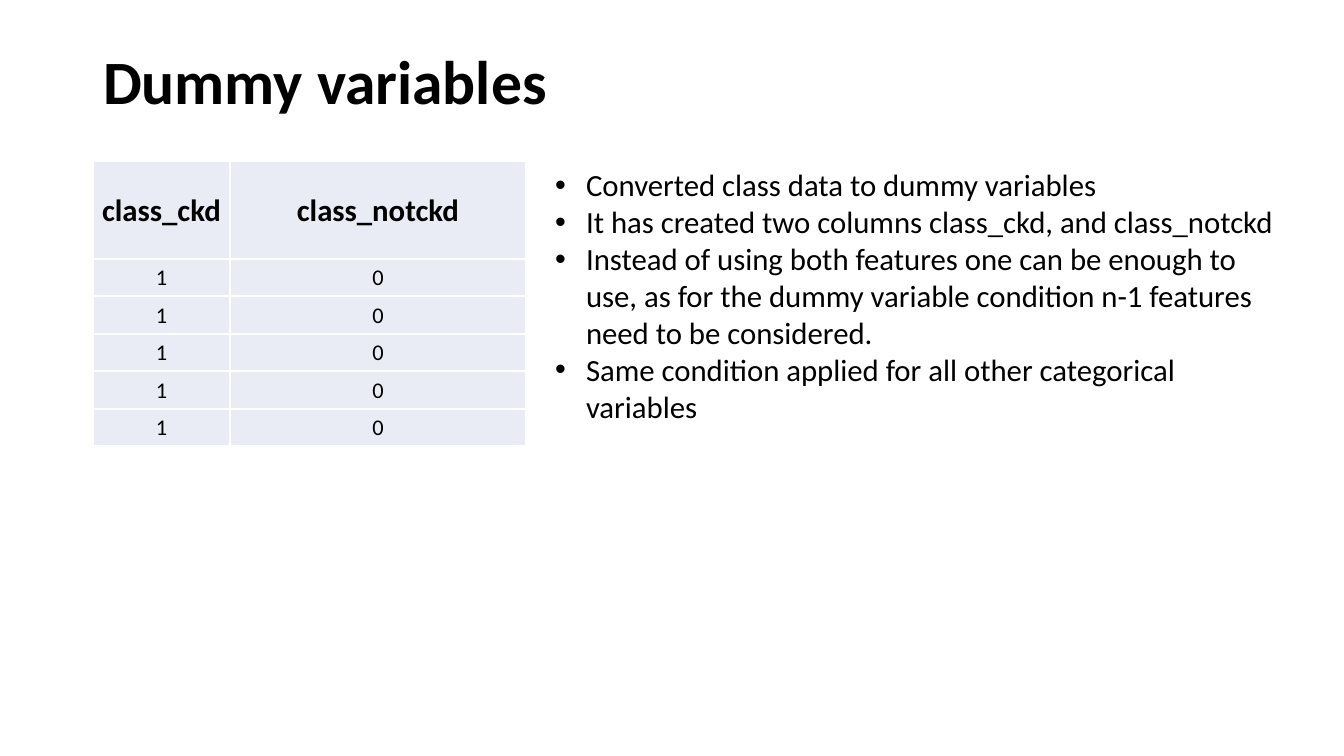
"""Build the slide on dummy variables: a title, a small table and a bullet list."""
import pptx
import pptx.dml.color
import pptx.enum.text
import pptx.oxml
import pptx.oxml.ns
import pptx.util

COLOURS = {"ink": "000000", "cell": "E9EBF5", "rule": "FFFFFF"}
ALIGN = pptx.enum.text.PP_ALIGN
ANCHOR = pptx.enum.text.MSO_ANCHOR
AUTO_SIZE = pptx.enum.text.MSO_AUTO_SIZE


def px(pixels):
    """Turn pixels into EMU."""
    return pptx.util.Emu(round(pixels * 914400 / 100.8))


def colour(name):
    """Look up a colour by name."""
    return pptx.dml.color.RGBColor.from_string(COLOURS[name])


class Page:
    """Holds the style and the current slide."""

    font = "Calibri"

    def __init__(self, deck):
        """Add a title and content slide."""
        self.slide = deck.slides.add_slide(deck.slide_layouts[1])

    def add_span(self, para, text, size, bold=False):
        """Add one styled run to a paragraph."""
        span = para.add_run()
        span.text = text
        span.font.name = self.font
        span.font.size = pptx.util.Pt(size)
        span.font.bold = bold
        span.font.color.rgb = colour("ink")

    def place(self, box, left, top, width, height):
        """Position a placeholder."""
        box.left, box.top, box.width, box.height = map(px, (left, top, width, height))

    def title(self, text, bounds):
        """Fill the title placeholder."""
        box = self.slide.shapes.title
        self.place(box, *bounds)
        box.text_frame.auto_size = AUTO_SIZE.NONE
        box.text_frame.vertical_anchor = ANCHOR.MIDDLE
        para = box.text_frame.paragraphs[0]
        para.alignment = ALIGN.LEFT
        para.line_spacing = 0.9
        self.add_span(para, text, 44, bold=True)

    def bullets(self, items, bounds):
        """Fill the body placeholder with a bullet list."""
        box = self.slide.placeholders[1]
        self.place(box, *bounds)
        frame = box.text_frame
        frame.auto_size = AUTO_SIZE.SHAPE_TO_FIT_TEXT
        for index, item in enumerate(items):
            para = frame.add_paragraph() if index else frame.paragraphs[0]
            para.space_before = pptx.util.Pt(0)
            properties = para._p.get_or_add_pPr()
            properties.set("marL", str(px(31)))
            properties.set("indent", str(px(-31)))
            self.add_span(para, item, 22)

    def borders(self, cell):
        """Draw a thin rule on all four sides of a cell."""
        properties = cell._tc.get_or_add_tcPr()
        for index, side in enumerate("LRTB"):
            properties.insert(index, pptx.oxml.parse_xml(
                f'<a:ln{side} {pptx.oxml.ns.nsdecls("a")} w="12700"><a:solidFill>'
                f'<a:srgbClr val="{COLOURS["rule"]}"/></a:solidFill></a:ln{side}>'))

    def table(self, rows, left, top, widths, heights):
        """Add a table whose first row is a bold header."""
        bounds = map(px, (left, top, sum(widths), sum(heights)))
        grid = self.slide.shapes.add_table(len(rows), len(widths), *bounds).table
        for column, width in zip(grid.columns, widths):
            column.width = px(width)
        for index, (row, height) in enumerate(zip(grid.rows, heights)):
            row.height = px(height)
            for cell, text in zip(row.cells, rows[index]):
                cell.fill.solid()
                cell.fill.fore_color.rgb = colour("cell")
                self.borders(cell)
                cell.vertical_anchor = ANCHOR.MIDDLE
                cell.margin_left = cell.margin_right = cell.margin_top = px(1)
                cell.margin_bottom = 0
                para = cell.text_frame.paragraphs[0]
                para.alignment = ALIGN.CENTER
                self.add_span(para, text, 16 if index else 22, bold=index == 0)


deck = pptx.Presentation()
deck.slide_width, deck.slide_height = px(1344), px(756)

page = Page(deck)
page.title("Dummy variables", (93, 12, 1159, 146))
page.table([("class_ckd", "class_notckd")] + [("1", "0")] * 5,
           93, 161, (137, 296), (98, 37, 38, 37, 38, 37))
page.bullets([
    "Converted class data to dummy variables",
    "It has created two columns class_ckd, and class_notckd",
    "Instead of using both features one can be enough to use, as for the dummy "
    "variable condition n-1 features need to be considered.",
    "Same condition applied for all other categorical variables",
], (545, 161, 757, 271))

deck.save("out.pptx")
